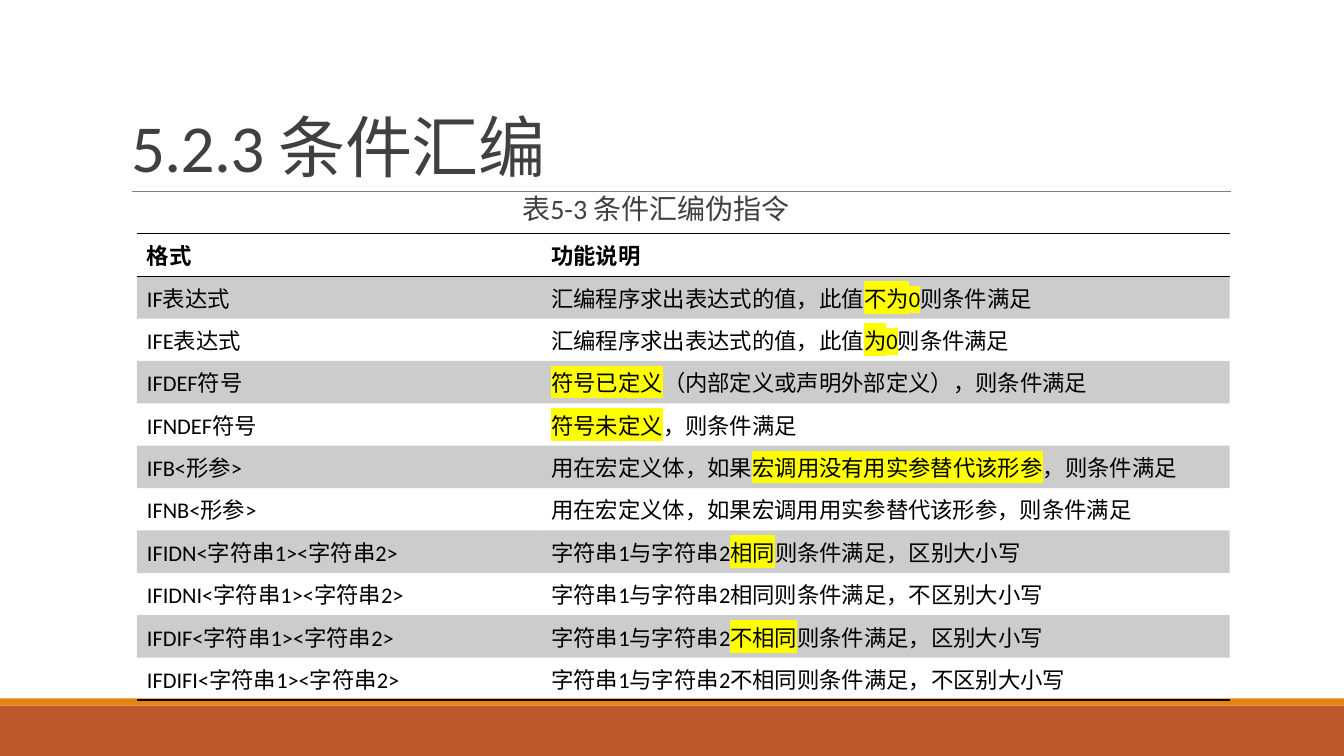
from lxml.etree import SubElement
from pptx import Presentation
from pptx.dml.color import RGBColor
from pptx.enum.shapes import MSO_CONNECTOR, MSO_SHAPE
from pptx.enum.text import MSO_ANCHOR, MSO_AUTO_SIZE, PP_ALIGN
from pptx.oxml.ns import qn
from pptx.util import Cm, Pt

BLACK = RGBColor(0x00, 0x00, 0x00)
DARK = RGBColor(0x40, 0x40, 0x40)
GREY = RGBColor(0x80, 0x80, 0x80)
RUST = RGBColor(0xBD, 0x58, 0x2C)
ORANGE = RGBColor(0xE4, 0x83, 0x12)
YELLOW = RGBColor(0xFF, 0xFF, 0x00)

PLAIN_TABLE_STYLE = "{2D5ABB26-0587-4C30-8999-92F81FD0307C}"

# Text between bars is highlighted
DIRECTIVES = [
    ("格式", "功能说明"),
    ("IF表达式", "汇编程序求出表达式的值，此值|不为0|则条件满足"),
    ("IFE表达式", "汇编程序求出表达式的值，此值|为0|则条件满足"),
    ("IFDEF符号", "|符号已定义|（内部定义或声明外部定义），则条件满足"),
    ("IFNDEF符号", "|符号未定义|，则条件满足"),
    ("IFB<形参>", "用在宏定义体，如果|宏调用没有用实参替代该形参|，则条件满足"),
    ("IFNB<形参>", "用在宏定义体，如果宏调用用实参替代该形参，则条件满足"),
    ("IFIDN<字符串1><字符串2>", "字符串1与字符串2|相同|则条件满足，区别大小写"),
    ("IFIDNI<字符串1><字符串2>", "字符串1与字符串2相同则条件满足，不区别大小写"),
    ("IFDIF<字符串1><字符串2>", "字符串1与字符串2|不相同|则条件满足，区别大小写"),
    ("IFDIFI<字符串1><字符串2>", "字符串1与字符串2不相同则条件满足，不区别大小写"),
]


def add_color(parent, color):
    return SubElement(parent, qn("a:srgbClr"), val=str(color))


class SlideBuilder:
    font_name = "Calibri"

    def __init__(self, page):
        self.page = page

    def style(self, para, size, color, bold=False):
        font = para.font
        font.name, font.size, font.bold = self.font_name, Pt(size), bold
        font.color.rgb = color

    def bar(self, top, height, color):
        bar = self.page.shapes.add_shape(
            MSO_SHAPE.RECTANGLE, 0, Cm(top), Cm(33.87), Cm(height))
        bar.shadow.inherit = False
        bar.fill.solid()
        bar.fill.fore_color.rgb = color
        bar.line.fill.background()

    def rule(self, left, right, y):
        rule = self.page.shapes.add_connector(
            MSO_CONNECTOR.STRAIGHT, Cm(left), Cm(y), Cm(right), Cm(y))
        rule.line.color.rgb = GREY
        rule.line.width = Pt(0.5)
        SubElement(rule._element.spPr, qn("a:effectLst"))

    def placeholder(self, box, left, top, width, height, text):
        box.left, box.top = Cm(left), Cm(top)
        box.width, box.height = Cm(width), Cm(height)
        frame = box.text_frame
        frame.auto_size = MSO_AUTO_SIZE.NONE
        frame.word_wrap = True
        frame.text = text
        return frame

    def title(self, text):
        frame = self.placeholder(
            self.page.shapes.title, 3.05, 0.79, 27.94, 4.03, text)
        frame.vertical_anchor = MSO_ANCHOR.BOTTOM
        para = frame.paragraphs[0]
        para.alignment = PP_ALIGN.LEFT
        para.line_spacing = 0.85
        self.style(para, 48, DARK)
        para.runs[0].font._element.set("spc", "-50")

    def caption(self, text):
        frame = self.placeholder(
            self.page.placeholders[1], 2.44, 4.8, 27.94, 1.09, text)
        frame.vertical_anchor = MSO_ANCHOR.TOP
        frame.margin_left = frame.margin_right = 0
        para = frame.paragraphs[0]
        para.alignment = PP_ALIGN.CENTER
        para.line_spacing = 0.9
        para.space_before, para.space_after = Pt(12), Pt(2)
        # Blank bullet with a hanging indent
        properties = para._p.get_or_add_pPr()
        properties.set("marL", str(Cm(0.25)))
        properties.set("indent", str(Cm(-0.25)))
        add_color(SubElement(properties, qn("a:buClr")), ORANGE)
        SubElement(properties, qn("a:buChar"), char=" ")
        self.style(para, 20, DARK)

    def border(self, cell, side):
        line = SubElement(cell._tc.get_or_add_tcPr(), qn(f"a:{side}"), w=str(Pt(1)))
        add_color(SubElement(line, qn("a:solidFill")), BLACK)

    def shade(self, cell, banded):
        if not banded:
            cell.fill.background()
            return
        cell.fill.solid()
        cell.fill.fore_color.rgb = BLACK
        color = cell._tc.tcPr.find(qn("a:solidFill")).find(qn("a:srgbClr"))
        SubElement(color, qn("a:alpha"), val="20000")

    def write_cell(self, cell, text, bold):
        para = cell.text_frame.paragraphs[0]
        self.style(para, 16, BLACK, bold)
        for index, part in enumerate(text.split("|")):
            if not part:
                continue
            span = para.add_run()
            span.text = part
            if index % 2:
                highlight = SubElement(span.font._element, qn("a:highlight"))
                add_color(highlight, YELLOW)

    def table(self, left, top, widths, row_height, rows):
        frame = self.page.shapes.add_table(
            len(rows), len(widths), Cm(left), Cm(top),
            Cm(sum(widths)), Cm(row_height * len(rows)))
        table = frame.table
        table._tbl.tblPr.find(qn("a:tableStyleId")).text = PLAIN_TABLE_STYLE
        for column, width in zip(table.columns, widths):
            column.width = Cm(width)
        last = len(rows) - 1
        for number, texts in enumerate(rows):
            for cell, text in zip(table.rows[number].cells, texts):
                if number == 0:
                    self.border(cell, "lnT")
                if number in (0, last):
                    self.border(cell, "lnB")
                self.shade(cell, number % 2 == 1)
                self.write_cell(cell, text, number == 0)


def main():
    deck = Presentation()
    deck.slide_width, deck.slide_height = Cm(33.87), Cm(19.05)
    builder = SlideBuilder(deck.slides.add_slide(deck.slide_layouts[1]))

    # Footer bars and title rule
    builder.bar(17.78, 1.27, RUST)
    builder.bar(17.6, 0.18, ORANGE)
    builder.rule(3.33, 31.01, 4.82)

    # Headings
    builder.title("5.2.3 条件汇编")
    builder.caption("表5-3 条件汇编伪指令")

    # Directive table
    builder.table(3.45, 5.89, (10.19, 17.35), 1.03, DIRECTIVES)

    deck.save("out.pptx")


if __name__ == "__main__":
    main()
